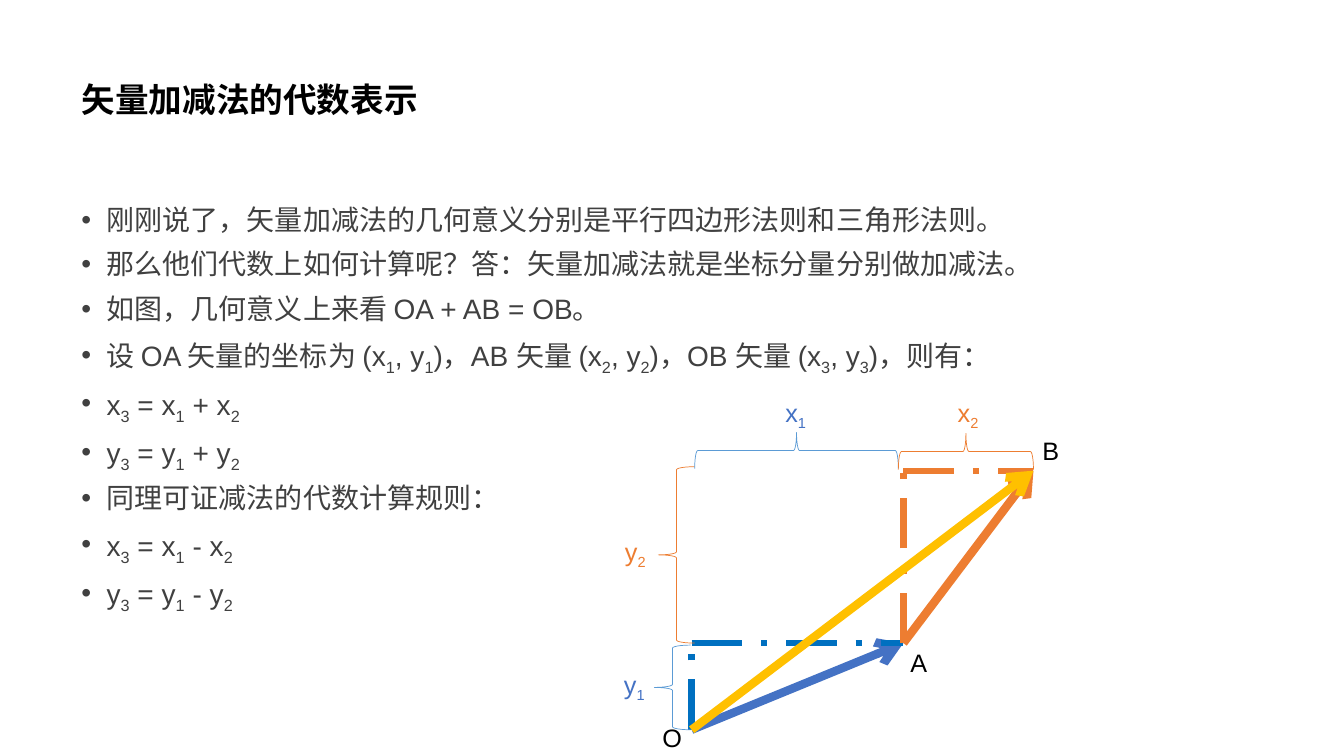
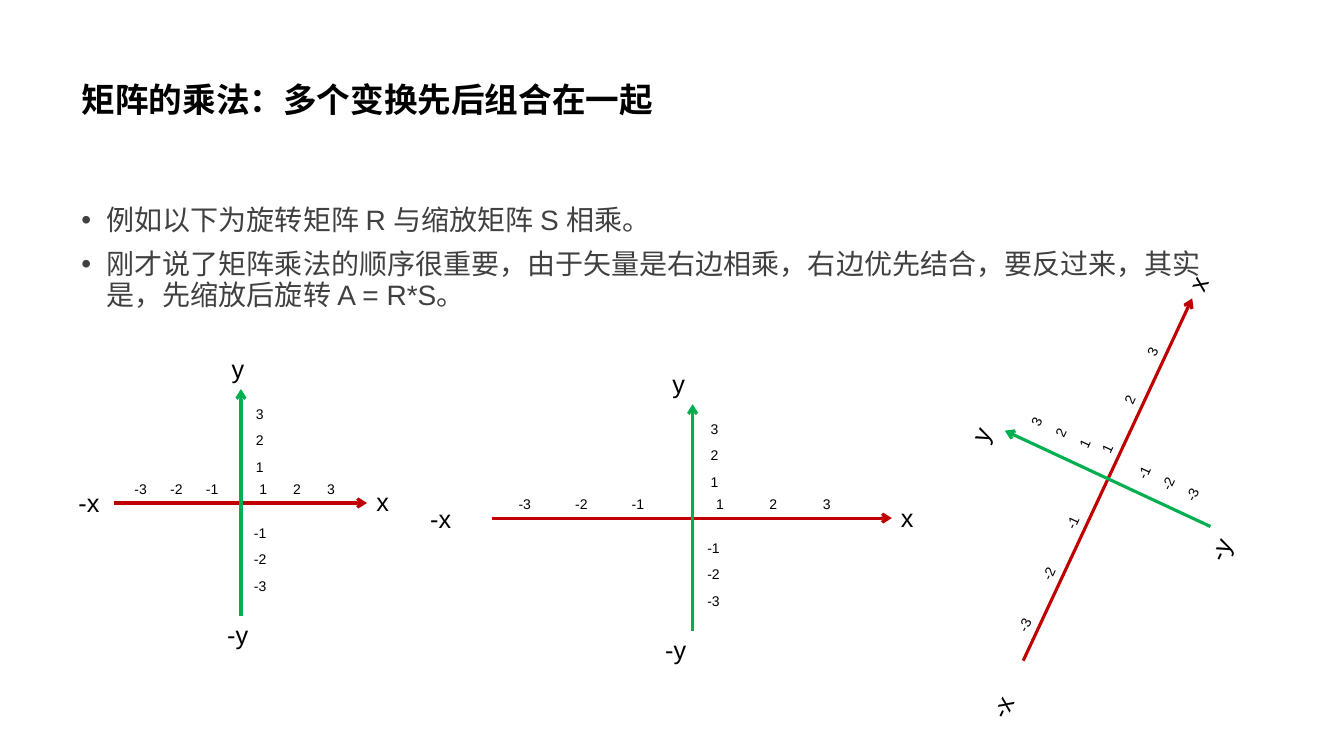
from math import cos, radians, sin

from lxml import etree
from pptx import Presentation
from pptx.dml.color import RGBColor
from pptx.enum.dml import MSO_LINE
from pptx.enum.shapes import MSO_CONNECTOR, MSO_SHAPE
from pptx.enum.text import MSO_ANCHOR, MSO_AUTO_SIZE, PP_ALIGN
from pptx.oxml.ns import qn
from pptx.util import Inches, Pt

STRAIGHT = MSO_CONNECTOR.STRAIGHT
LEFT_BRACE = MSO_SHAPE.LEFT_BRACE
DASH_DOT = MSO_LINE.LONG_DASH_DOT
LEFT = PP_ALIGN.LEFT
TOP, MIDDLE = MSO_ANCHOR.TOP, MSO_ANCHOR.MIDDLE
NO_AUTOFIT = MSO_AUTO_SIZE.NONE

BLACK = RGBColor(0x00, 0x00, 0x00)
GREY = RGBColor(0x40, 0x40, 0x40)
ORANGE = RGBColor(0xED, 0x7D, 0x31)
BLUE = RGBColor(0x44, 0x72, 0xC4)
DEEP_BLUE = RGBColor(0x00, 0x70, 0xC0)
LIGHT_BLUE = RGBColor(0x5B, 0x9B, 0xD5)
YELLOW = RGBColor(0xFF, 0xC0, 0x00)
RED = RGBColor(0xC0, 0x00, 0x00)
GREEN = RGBColor(0x00, 0xB0, 0x50)

FONT = "Arial"
TITLE_ONLY = 5


def cells(count):
    """Length of a number of grid columns or rows, ten to the inch."""
    return Inches(count / 10)


class Deck:
    """Shared style and the slide being drawn."""

    def __init__(self):
        self.presentation = Presentation()
        self.presentation.slide_width = cells(133.3)
        self.presentation.slide_height = cells(75)
        self.slide = None

    def add_slide(self, title):
        layout = self.presentation.slide_layouts[TITLE_ONLY]
        self.slide = self.presentation.slides.add_slide(layout)
        shape = self.slide.shapes.title
        shape.left, shape.top = cells(7.1), cells(2.8)
        shape.width, shape.height = cells(115), cells(14.5)
        frame = shape.text_frame
        frame.auto_size = NO_AUTOFIT
        frame.vertical_anchor = MIDDLE
        paragraph = frame.paragraphs[0]
        paragraph.alignment = LEFT
        paragraph.line_spacing = 0.9
        self.fill_paragraph(paragraph, title, 24, BLACK, bold=True)

    def fill_paragraph(self, paragraph, text, size, color, bold=False):
        """Fill a paragraph; the digit after each underscore is a subscript."""
        first, *rest = text.split("_")
        paragraph.add_run().text = first
        for piece in rest:
            subscript = paragraph.add_run()
            subscript.text = piece[0]
            subscript._r.get_or_add_rPr().set("baseline", "-25000")
            if piece[1:]:
                paragraph.add_run().text = piece[1:]
        font = paragraph.font
        font.name, font.size, font.bold = FONT, Pt(size), bold
        font.color.rgb = color

    def bullets(self, lines):
        box = self.slide.shapes.add_textbox(
            cells(7.1), cells(20), cells(115), cells(47.6))
        frame = box.text_frame
        frame.word_wrap = True
        frame.vertical_anchor = TOP
        for index, line in enumerate(lines):
            paragraph = frame.add_paragraph() if index else frame.paragraphs[0]
            paragraph.line_spacing = 0.9
            paragraph.space_before = Pt(10 if index else 0)
            properties = paragraph._p.get_or_add_pPr()
            properties.set("marL", str(cells(2.5)))
            properties.set("indent", str(-cells(2.5)))
            etree.SubElement(properties, qn("a:buFont"), typeface=FONT)
            etree.SubElement(properties, qn("a:buChar"), char="•")
            self.fill_paragraph(paragraph, line, 20, GREY)

    def label(self, text, centre, width, size=18, color=BLACK, angle=0, wrap=False):
        height = 4 if size == 18 else 2.7
        box = self.slide.shapes.add_textbox(
            cells(centre[0] - width / 2), cells(centre[1] - height / 2),
            cells(width), cells(height))
        box.rotation = angle
        box.text_frame.word_wrap = wrap
        self.fill_paragraph(box.text_frame.paragraphs[0], text, size, color)

    def line(self, start, end, color, width, dash=None, arrow=False):
        connector = self.slide.shapes.add_connector(
            STRAIGHT, *(cells(value) for value in (*start, *end)))
        connector.line.color.rgb = color
        connector.line.width = Pt(width)
        if dash:
            connector.line.dash_style = dash
        properties = connector._element.spPr
        if arrow:
            etree.SubElement(properties.get_or_add_ln(), qn("a:tailEnd"), type="arrow")
        etree.SubElement(properties, qn("a:effectLst"))

    def brace(self, centre, length, color, angle=0):
        width = 3.6
        shape = self.slide.shapes.add_shape(
            LEFT_BRACE, cells(centre[0] - width / 2), cells(centre[1] - length / 2),
            cells(width), cells(length))
        shape.rotation = angle
        shape.shadow.inherit = False
        shape.fill.background()
        shape.line.color.rgb = color
        shape.line.width = Pt(0.5)

    def axes(self, origin, stretch=1, angle=0):
        """Draw a coordinate cross, stretched along x and then rotated."""
        cosine, sine = cos(radians(angle)), sin(radians(angle))

        def place(x, y):
            x *= stretch
            return (origin[0] + x * cosine - y * sine,
                    origin[1] + x * sine + y * cosine)

        def mark(text, x, y, width, size=18):
            self.label(text, place(x, y), width * stretch, size, angle=angle, wrap=True)

        # Axis lines and their names
        self.line(place(-12.6, 0), place(12.5, 0), RED, 2.25, arrow=True)
        self.line(place(0, 11.2), place(0, -11.3), GREEN, 2.25, arrow=True)
        mark("-x", -14.8, 0, 4.6)
        mark("x", 14.1, -0.1, 3.3)
        mark("y", -0.15, -13.3, 3.5)
        mark("-y", 0, 13, 4.7)

        # Numbers along both axes
        for number in (-3, -2, -1, 1, 2, 3):
            negative = number < 0
            width = 3.4 if negative else 2.8
            x = 0.8 + 3.55 * number if negative else -1.1 + 3.35 * number
            y = (0.3 if negative else -0.9) - 2.65 * number
            mark(str(number), x, -1.35, width, 10)
            mark(str(number), 2 if negative else 1.9, y, width, 10)


def vector_addition(deck):
    deck.add_slide("矢量加减法的代数表示")
    deck.bullets([
        "刚刚说了，矢量加减法的几何意义分别是平行四边形法则和三角形法则。",
        "那么他们代数上如何计算呢？答：矢量加减法就是坐标分量分别做加减法。",
        "如图，几何意义上来看 OA + AB = OB。",
        "设 OA 矢量的坐标为 (x_1, y_1)，AB 矢量 (x_2, y_2)，OB 矢量 (x_3, y_3)，则有：",
        "x_3 = x_1 + x_2",
        "y_3 = y_1 + y_2",
        "同理可证减法的代数计算规则：",
        "x_3 = x_1 - x_2",
        "y_3 = y_1 - y_2",
    ])

    # Points of the diagram
    point_o, point_a, point_b = (68.6, 72.4), (89.6, 63.8), (102.5, 46.7)
    corner_oa = (point_o[0], point_a[1])
    corner_ab = (point_a[0], point_b[1])
    deck.label("O", (66.65, 73.2), 3.9)
    deck.label("A", (91.15, 65.7), 3.7)
    deck.label("B", (104.25, 44.7), 3.7)

    # Vectors and their components
    deck.line(point_a, point_b, ORANGE, 6, arrow=True)
    deck.line(point_o, point_a, BLUE, 6, arrow=True)
    for start, end, color in (
        (corner_oa, point_a, DEEP_BLUE),
        (point_a, corner_ab, ORANGE),
        (corner_ab, point_b, ORANGE),
        (point_o, corner_oa, DEEP_BLUE),
    ):
        deck.line(start, end, color, 4.5, DASH_DOT)

    # Braces with component names
    for name, name_centre, name_color, centre, length, color, angle in (
        ("y_2", (63.1, 54.7), ORANGE, (67.1, 55.05), 17.5, ORANGE, 0),
        ("y_1", (63, 67.9), BLUE, (66.7, 68.2), 8.4, LIGHT_BLUE, 0),
        ("x_1", (79, 40.9), BLUE, (79, 44.7), 20.2, LIGHT_BLUE, 90),
        ("x_2", (96.1, 40.9), ORANGE, (95.8, 44.8), 13.4, ORANGE, 90),
    ):
        deck.brace(centre, length, color, angle)
        deck.label(name, name_centre, 4.2, color=name_color)

    deck.line(point_o, point_b, YELLOW, 6, arrow=True)


def matrix_product(deck):
    deck.add_slide("矩阵的乘法：多个变换先后组合在一起")
    deck.bullets([
        "例如以下为旋转矩阵 R 与缩放矩阵 S 相乘。",
        "刚才说了矩阵乘法的顺序很重要，由于矢量是右边相乘，右边优先结合，"
        "要反过来，其实是，先缩放后旋转 A = R*S。",
    ])

    # Plain, scaled, then scaled and rotated
    deck.axes((23.9, 49.9))
    deck.axes((68.7, 51.4), stretch=1.58)
    deck.axes((109.9, 47.5), stretch=1.58, angle=-65)


def main():
    deck = Deck()
    vector_addition(deck)
    matrix_product(deck)
    deck.presentation.save("out.pptx")


if __name__ == "__main__":
    main()
